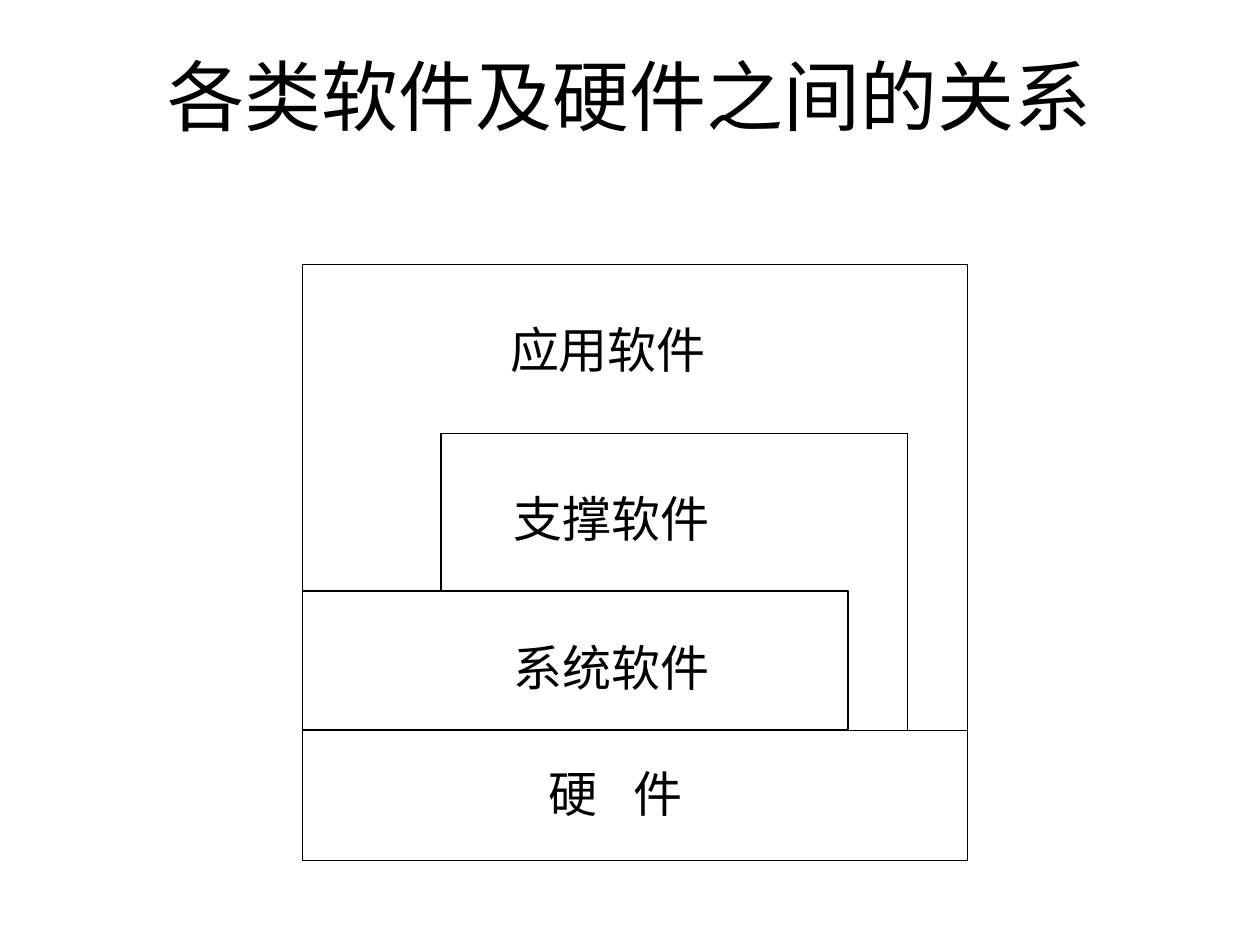
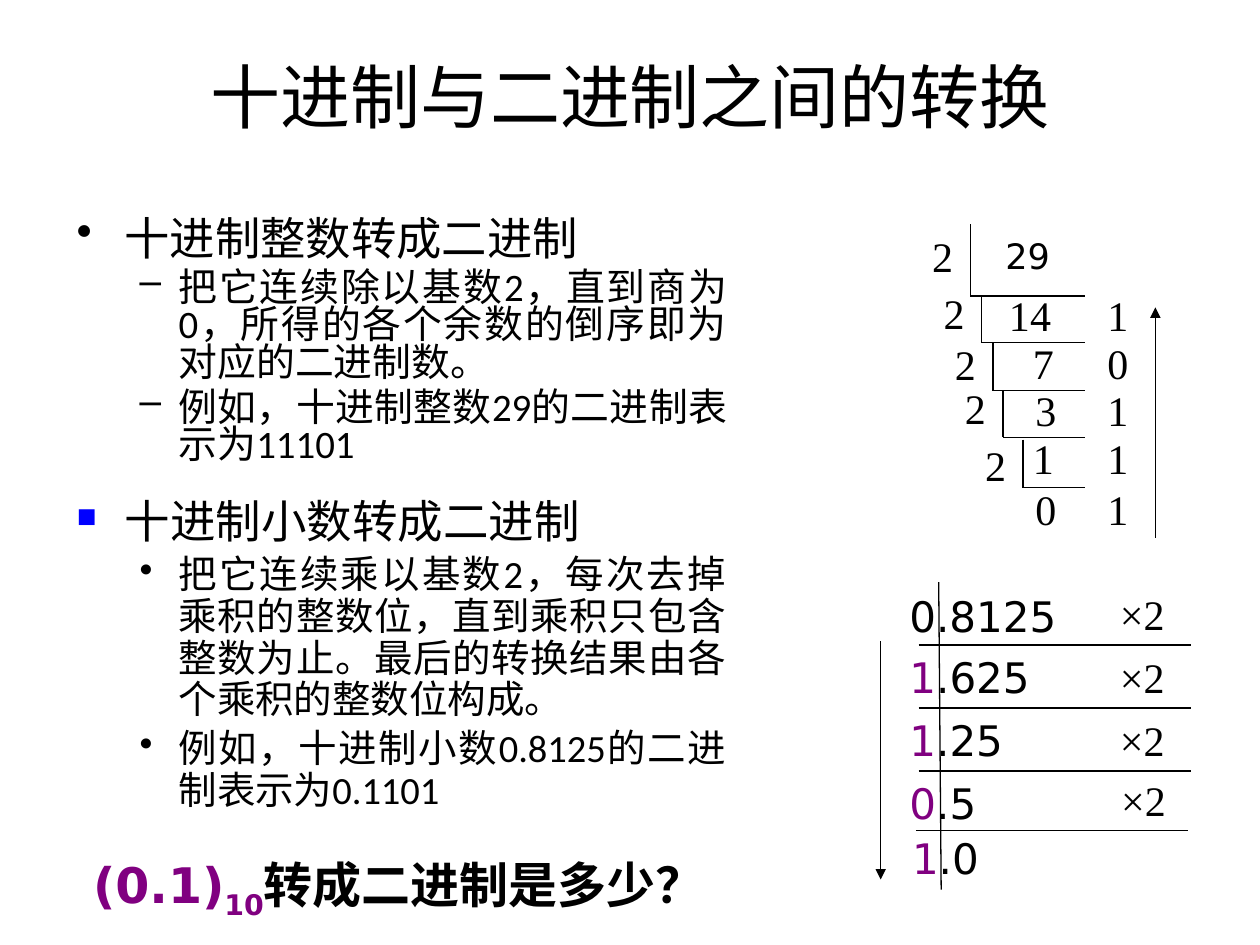
from dataclasses import dataclass

from lxml.etree import SubElement
from pptx import Presentation
from pptx.dml.color import RGBColor
from pptx.enum.shapes import MSO_CONNECTOR, MSO_SHAPE
from pptx.enum.text import MSO_ANCHOR, PP_ALIGN
from pptx.oxml.ns import qn
from pptx.util import Inches, Pt


@dataclass(frozen=True)
class Theme:
    ink: str = "000000"
    paper: str = "FFFFFF"
    accent: str = "800080"
    mark: str = "0000FF"
    head: str = "Calibri"
    label: str = "Montserrat"
    serif: str = "Times New Roman"
    sans: str = "DejaVu Sans"
    large: float = 28
    digit: float = 24
    small: float = 20
    stroke: float = 0.75


class Deck:
    """Draws on a grid of 100 columns by 75 rows."""

    def __init__(self, theme):
        self.theme = theme
        self.show = Presentation()
        self.show.slide_width = Inches(10)
        self.show.slide_height = Inches(7.5)
        self.col = self.show.slide_width / 100
        self.row = self.show.slide_height / 75

    def grid(self, x, y, w, h):
        return (round(x * self.col), round(y * self.row),
                round(w * self.col), round(h * self.row))

    def page(self, title, size):
        self.slide = self.show.slides.add_slide(self.show.slide_layouts[6])
        fill = self.slide.background.fill
        fill.solid()
        fill.fore_color.rgb = RGBColor.from_string(self.theme.paper)
        frame = self.text((5, 1.3, 90, 12.5), title, self.theme.head, size,
                          align=PP_ALIGN.CENTER)
        frame.vertical_anchor = MSO_ANCHOR.MIDDLE

    def style(self, run, font, size, color=None, bold=False):
        run.font.name = font
        run.font.size = Pt(size)
        run.font.bold = bold
        run.font.color.rgb = RGBColor.from_string(color or self.theme.ink)

    def frame(self, area, wrap=True):
        frame = self.slide.shapes.add_textbox(*self.grid(*area)).text_frame
        frame.word_wrap = wrap
        return frame

    def text(self, area, words, font, size, align=PP_ALIGN.LEFT):
        frame = self.frame(area)
        frame.text = words
        line = frame.paragraphs[0]
        line.alignment = align
        self.style(line.runs[0], font, size)
        return frame

    def mixed(self, area, parts, size, bold=False, wrap=True):
        """One line of (words, colour, baseline) parts."""
        line = self.frame(area, wrap).paragraphs[0]
        for words, color, base in parts:
            run = line.add_run()
            run.text = words
            self.style(run, self.theme.sans, size, color, bold)
            if base:
                run.font._element.set("baseline", str(base * 1000))

    def bullet(self, line, sign, left, hang, color, scale):
        props = line._p.get_or_add_pPr()
        props.set("marL", str(Inches(left)))
        props.set("indent", str(-Inches(hang)))
        tint = SubElement(props, qn("a:buClr"))
        SubElement(tint, qn("a:srgbClr")).set("val", color)
        SubElement(props, qn("a:buSzPct")).set("val", str(scale * 1000))
        SubElement(props, qn("a:buChar")).set("char", sign)

    def points(self, area, lines, sizes, signs, pitch, mark=None, scale=100):
        """A heading point followed by its sub-points."""
        frame = self.frame(area)
        frame.text = "\n".join(lines)
        for i, line in enumerate(frame.paragraphs):
            level = min(i, 1)
            if level:
                self.bullet(line, signs[1], 0.81, 0.31, self.theme.ink, 100)
                line.level = 1
                line.alignment = PP_ALIGN.JUSTIFY
                line.space_before = Pt(sizes[1] * 0.2)
            else:
                self.bullet(line, signs[0], 0.38, 0.38,
                            mark or self.theme.ink, scale)
            line.line_spacing = pitch
            self.style(line.runs[0], self.theme.head, sizes[level])

    def pen(self, line):
        line.color.rgb = RGBColor.from_string(self.theme.ink)
        line.width = Pt(self.theme.stroke)

    def box(self, *area):
        shape = self.slide.shapes.add_shape(MSO_SHAPE.RECTANGLE,
                                            *self.grid(*area))
        shape.shadow.inherit = False
        shape.fill.background()
        self.pen(shape.line)

    def rule(self, *ends, arrow=False):
        link = self.slide.shapes.add_connector(MSO_CONNECTOR.STRAIGHT,
                                               *self.grid(*ends))
        self.pen(link.line)
        if arrow:
            tail = SubElement(link.line._get_or_add_ln(), qn("a:tailEnd"))
            tail.set("type", "triangle")
        SubElement(link._element.spPr, qn("a:effectLst"))


def layers(deck):
    theme = deck.theme
    deck.page("各类软件及硬件之间的关系", 44)

    # Nested layers
    left, right, base = 24, 76.8, 58
    deck.box(left, 21, right - left, 47.3)
    deck.rule(left, base, right, base)
    deck.box(left, 46.9, 43.3, 11)
    path = [(35, 46.9), (35, 34.4), (72, 34.4), (72, base)]
    for start, end in zip(path, path[1:]):
        deck.rule(*start, *end)

    # Layer names
    names = [("应用软件", 31.6, 24.9), ("支撑软件", 31.9, 38.3),
             ("系统软件", 31.9, 50.1), ("硬 件", 32.2, 60.1)]
    for name, x, y in names:
        frame = deck.text((x, y, 33.3, 5.7), name, theme.label, theme.large,
                          align=PP_ALIGN.CENTER)
    frame.paragraphs[0].runs[0].font._element.set("spc", "700")


def divide(deck):
    """Repeated division by two, remainders read upwards."""
    theme = deck.theme
    deck.text((78.8, 18.1, 6.5, 4.4), "29", theme.sans, theme.small)

    # Bar column, bar top, bar foot, row of the divisor
    steps = [(77, 17.8, 23.5, 17.8), (77.9, 23.5, 27.2, 22.3),
             (78.8, 27.2, 31, 26.4), (79.6, 31, 34.7, 29.9),
             (81.2, 34.9, 38.7, 34.4)]
    for bar, top, foot, y in steps:
        deck.rule(bar, top, bar, foot)
        deck.rule(bar, foot, 86.1, foot)
        deck.text((bar - 4, y, 4, 5), "2", theme.serif, theme.digit)

    # Quotient, its column, remainder, row of both
    rests = [("14", 79.1, "1", 22.5), ("7", 81, "0", 26.3),
             ("3", 81.2, "1", 30), ("1", 81, "1", 33.8),
             ("0", 81.2, "1", 37.9)]
    for whole, x, rest, y in rests:
        deck.text((x, y, 7, 5), whole, theme.serif, theme.digit)
        deck.text((86.9, y, 4, 5), rest, theme.serif, theme.digit)
    deck.rule(91.7, 42.7, 91.7, 24.4, arrow=True)


def double(deck):
    """Repeated doubling, whole digits read downwards."""
    theme = deck.theme
    deck.rule(69.9, 50.9, 69.9, 69.8, arrow=True)
    deck.rule(74.5, 46.2, 74.7, 70.6)

    # Whole digit, fraction, column and row
    values = [("0", ".8125", 71.2, 46.4), ("1", ".625", 71.2, 51.2),
              ("1", ".25", 71.2, 56.2), ("0", ".5", 71.2, 61.2),
              ("1", ".0", 71.4, 65.6)]
    for i, (whole, rest, x, y) in enumerate(values):
        tint = theme.accent if i else theme.ink
        deck.mixed((x, y, 15.3, 5),
                   [(whole, tint, 0), (rest, theme.ink, 0)], theme.digit)

    # Factor column and row, line start and row
    sums = [(87.9, 46.2, 72.9, 51.2), (87.9, 51.2, 72.9, 56.2),
            (87.9, 56.2, 72.9, 61.2), (88, 61, 72.7, 65.9)]
    for x, y, start, foot in sums:
        deck.text((x, y, 10, 5), "×2", theme.serif, theme.digit)
        deck.rule(start, foot, start + 21.6, foot)


def convert(deck):
    theme = deck.theme
    deck.page("十进制与二进制之间的转换", 40)

    # Methods
    deck.points((5.1, 17, 53.6, 21.8), [
        "十进制整数转成二进制",
        "把它连续除以基数2，直到商为0，所得的各个余数的倒序即为对应的二进制数。",
        "例如，十进制整数29的二进制表示为11101",
    ], (25.9, 22.2), "•–", 0.8)
    deck.points((5.1, 39.1, 53.5, 26.5), [
        "十进制小数转成二进制",
        "把它连续乘以基数2，每次去掉乘积的整数位，直到乘积只包含整数为止。"
        "最后的转换结果由各个乘积的整数位构成。",
        "例如，十进制小数0.8125的二进制表示为0.1101",
    ], (26, 22), "■•", 0.9, theme.mark, 60)

    # Worked sums
    divide(deck)
    double(deck)

    # Question
    deck.mixed((6.4, 67.3, 53.9, 5.7), [
        ("(0.1)", theme.accent, 0), ("10", theme.accent, -25),
        ("转成二进制是多少？", theme.ink, 0),
    ], theme.large, bold=True, wrap=False)


def main():
    deck = Deck(Theme())
    layers(deck)
    convert(deck)
    deck.show.save("out.pptx")


if __name__ == "__main__":
    main()
